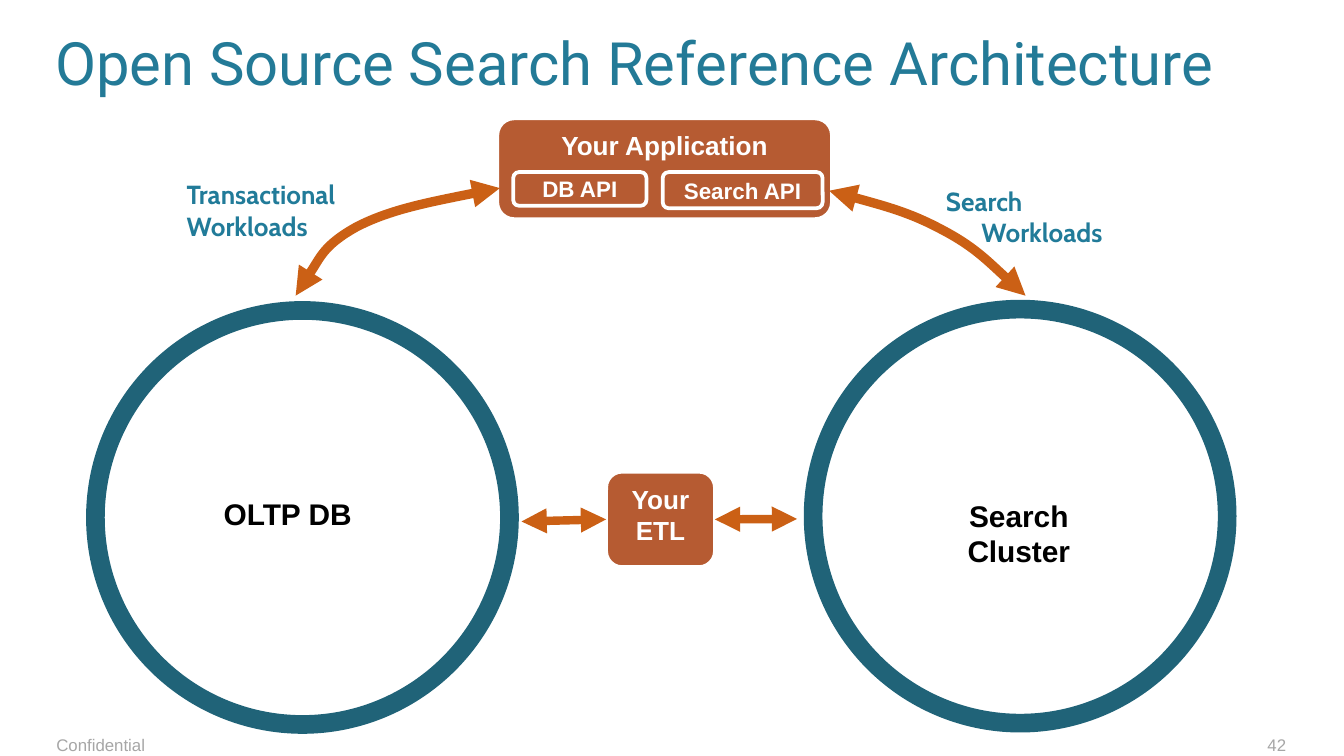
from dataclasses import dataclass

from lxml.etree import SubElement as Sub
from pptx import Presentation as Deck
from pptx.dml.color import RGBColor as Rgb
from pptx.enum.shapes import MSO_CONNECTOR as Link, MSO_SHAPE as Kind
from pptx.enum.text import MSO_ANCHOR as Anchor, PP_ALIGN as Align
from pptx.oxml.ns import qn
from pptx.util import Pt


@dataclass(frozen=True)
class Theme:
    title: str = "237A97"
    label: str = "217B99"
    ring: str = "206378"
    box: str = "B65B32"
    arrow: str = "CB6015"
    white: str = "FFFFFF"
    black: str = "000000"
    gray: str = "A6A6A6"
    huge: int = 32
    big: int = 16
    mid: int = 14
    small: int = 12
    tiny: int = 9


LOOK = Theme()
INSET = (7.2, 3.6, 7.2, 3.6)


def write(shape, text, size, color, font="Arial", bold=True, align=Align.LEFT,
          anchor=Anchor.TOP, inset=INSET, wrap=True):
    """Fill a shape with one paragraph per line of text."""
    frame = shape.text_frame
    frame.word_wrap = wrap
    frame.vertical_anchor = anchor
    (frame.margin_left, frame.margin_top,
     frame.margin_right, frame.margin_bottom) = map(Pt, inset)
    frame.text = text
    for para in frame.paragraphs:
        para.alignment = align
        para.font.name = font
        para.font.size = Pt(size)
        para.font.bold = bold
        para.font.color.rgb = Rgb.from_string(color)
    return frame


def add_text(slide, area, text, size, color, **style):
    field = slide.shapes.add_textbox(*map(Pt, area))
    return write(field, text, size, color, **style)


def stroke(line, color, width):
    line.color.rgb = Rgb.from_string(color)
    line.width = Pt(width)


def add_ring(slide, left, top):
    ring = slide.shapes.add_shape(Kind.OVAL, *map(Pt, (left, top, 221.8, 221.8)))
    ring.shadow.inherit = False
    ring.fill.background()
    stroke(ring.line, LOOK.ring, 10)


def add_box(slide, area, text, size=LOOK.mid, anchor=Anchor.TOP):
    box = slide.shapes.add_shape(Kind.ROUNDED_RECTANGLE, *map(Pt, area))
    box.shadow.inherit = False
    box.fill.solid()
    box.fill.fore_color.rgb = Rgb.from_string(LOOK.box)
    stroke(box.line, LOOK.white, 2)
    write(box, text, size, LOOK.white, align=Align.CENTER, anchor=anchor)
    return box


def add_heads(shape, width):
    """Colour a line and put an arrowhead at both ends."""
    stroke(shape.line, LOOK.arrow, width)
    line = shape.line._get_or_add_ln()
    for end in ("a:headEnd", "a:tailEnd"):
        Sub(line, qn(end), type="triangle")


def add_arrow(slide, start, end):
    arrow = slide.shapes.add_connector(Link.STRAIGHT, *map(Pt, start + end))
    add_heads(arrow, 4.5)
    Sub(arrow._element.spPr, qn("a:effectLst"))
    return arrow


def add_curve(slide, start, *points):
    """Draw Bezier arcs; each three points are two controls and an end."""
    pen = slide.shapes.build_freeform(*map(Pt, start))
    pen.add_line_segments([tuple(map(Pt, point)) for point in points], close=False)
    curve = pen.convert_to_shape()
    curve.shadow.inherit = False
    curve.fill.background()
    add_heads(curve, 5)
    # Turn each three straight segments into one cubic arc
    steps = list(curve._element.iter(qn("a:lnTo")))
    for first in range(0, len(steps), 3):
        arc = Sub(steps[first].getparent(), qn("a:cubicBezTo"))
        for step in steps[first:first + 3]:
            arc.append(step[0])
            step.getparent().remove(step)


def main():
    deck = Deck()
    deck.slide_width, deck.slide_height = Pt(720), Pt(405)
    slide = deck.slides.add_slide(deck.slide_layouts[6])

    # Title and footer
    add_text(slide, (29.5, 13.7, 648, 54), "Open Source Search Reference Architecture",
             LOOK.huge, LOOK.title, font="Roboto", bold=False, inset=(0, 0, 7.2, 0))
    add_text(slide, (30.2, 393.8, 275.8, 21.6), "Confidential", LOOK.tiny, LOOK.gray,
             bold=False, inset=(0, 0, 7.2, 0))
    add_text(slide, (532.8, 393.8, 156.2, 21.6), "42", LOOK.tiny, LOOK.gray,
             bold=False, align=Align.RIGHT, inset=(0, 0, 0, 0))

    # Data stores
    for name, left, top, ring in (("OLTP DB", 93.6, 262.8, (51.1, 166.3)),
                                  ("Search Cluster", 485.3, 263.5, (435.6, 165.6))):
        add_text(slide, (left, top, 121, 28.8), name, LOOK.big, LOOK.black,
                 align=Align.CENTER, inset=(5.8, 2.9, 5.8, 2.9), wrap=False)
        add_ring(slide, *ring)

    # Application with its two interfaces
    add_box(slide, (266.4, 63.4, 179.3, 54), "Your Application")
    add_box(slide, (275, 92.2, 71.3, 18), "DB API", LOOK.small, Anchor.MIDDLE)
    add_box(slide, (355, 92.2, 85.7, 19.4), "Search API", LOOK.small, Anchor.MIDDLE)

    # Curves from the application to the stores
    add_curve(slide, (444.2, 102.2), (465.8, 108), (487.4, 113.8), (504.7, 123.1),
              (522.7, 132.5), (549.4, 158.4), (549.4, 158.4))
    add_curve(slide, (267.8, 100.8), (238.3, 106.6), (208.8, 112.3), (190.8, 121.7),
              (172.8, 131.8), (158.4, 158.4), (158.4, 158.4))

    # ETL between the stores
    etl = add_box(slide, (324.7, 252.7, 58.3, 51.1), "Your\nETL")
    add_arrow(slide, (383, 278), (427, 278)).begin_connect(etl, 3)
    add_arrow(slide, (279.4, 279.4), (324.7, 278)).end_connect(etl, 1)

    # Workload labels
    add_text(slide, (92.9, 92.2, 106.6, 41), "Transactional\nWorkloads",
             LOOK.mid, LOOK.label, font="Cabin")
    label = add_text(slide, (499.7, 95.8, 108, 41), "Search\nWorkloads",
                     LOOK.mid, LOOK.label, font="Cabin")
    label.paragraphs[1]._p.get_or_add_pPr().set("marL", str(Pt(19)))

    deck.save("out.pptx")


if __name__ == "__main__":
    main()
